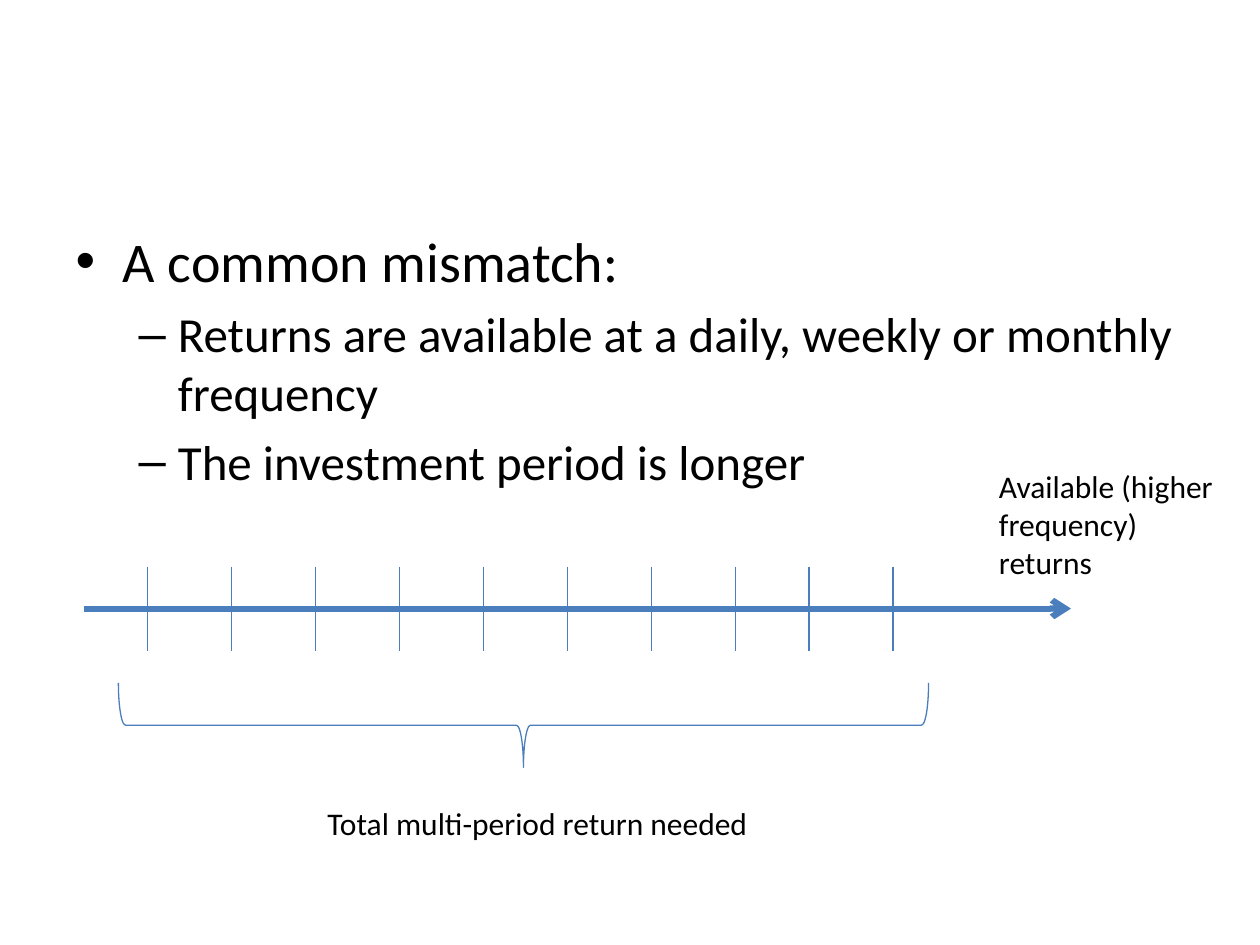
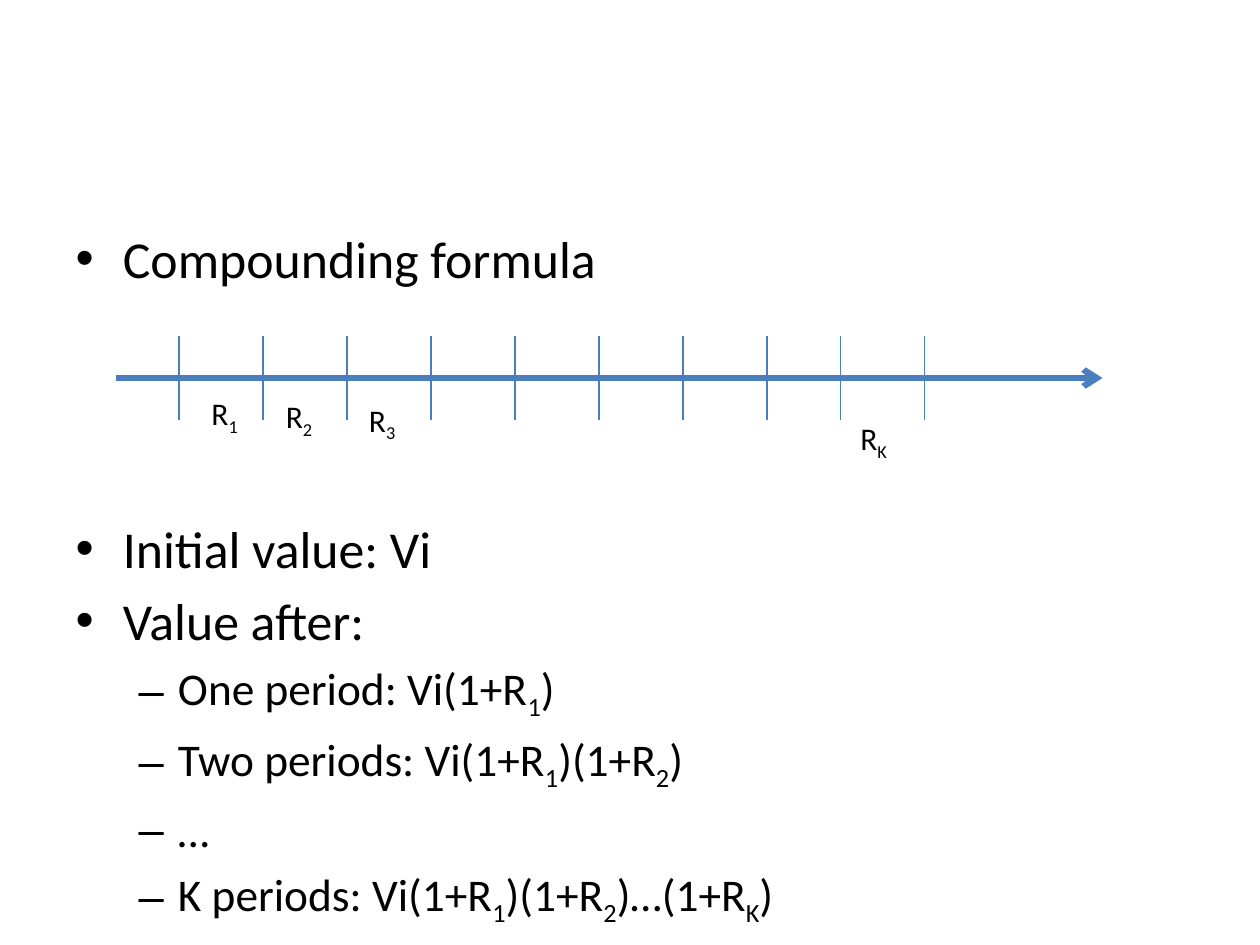
from dataclasses import dataclass

from lxml.etree import SubElement
from pptx import Presentation
from pptx.dml.color import RGBColor
from pptx.enum.shapes import MSO_CONNECTOR as CONN, MSO_SHAPE as SHAPE
from pptx.enum.text import MSO_AUTO_SIZE as AUTO
from pptx.oxml.ns import qn
from pptx.util import Inches, Pt


@dataclass(frozen=True)
class Theme:
    font: str = "Calibri"
    ink: RGBColor = RGBColor(0x00, 0x00, 0x00)
    accent: RGBColor = RGBColor(0x4B, 0x7E, 0xBC)
    body_sizes: tuple = (32, 28)        # by bullet level
    dense_sizes: tuple = (29.6, 25.9)
    label_size: float = 18
    axis_width: float = 3.5
    thin_width: float = 0.75


class Deck:
    def __init__(self, theme):
        self.theme = theme
        self.prs = Presentation()
        self.prs.slide_width, self.prs.slide_height = Inches(10), Inches(7.5)

    def new_slide(self):
        """Add a slide with a body and no title."""
        self.s = self.prs.slides.add_slide(self.prs.slide_layouts[1])
        title = self.s.shapes.title
        title.element.getparent().remove(title.element)

    def add_text(self, p, text, size):
        """Fill a paragraph; the character after each "_" is a subscript."""
        first, *rest = text.split("_")
        pieces = [(first, False)]
        for part in rest:
            pieces += [(part[0], True), (part[1:], False)]
        for piece, subscript in pieces:
            if not piece:
                continue
            r = p.add_run()
            r.text = piece
            r.font.name, r.font.size = self.theme.font, Pt(size)
            r.font.color.rgb = self.theme.ink
            if subscript:
                r._r.get_or_add_rPr().set("baseline", "-25000")

    def bullets(self, items, sizes):
        """Fill the body with (level, text, space before in points or None)."""
        body = self.s.placeholders[1]
        body.left, body.top = Inches(0.5), Inches(1.75)
        body.width, body.height = Inches(9), Inches(4.95)
        tf = body.text_frame
        tf.auto_size = AUTO.NONE
        for i, (level, text, gap) in enumerate(items):
            p = tf.add_paragraph() if i else tf.paragraphs[0]
            p.level = level
            if gap is not None:
                p.space_before = Pt(gap)
            self.add_text(p, text, sizes[level])

    def label(self, text, x, y, w, h=0.4):
        sp = self.s.shapes.add_textbox(Inches(x), Inches(y), Inches(w), Inches(h))
        tf = sp.text_frame
        tf.word_wrap = True
        tf.auto_size = AUTO.SHAPE_TO_FIT_TEXT
        self.add_text(tf.paragraphs[0], text, self.theme.label_size)

    def line(self, x1, y1, x2, y2, width, arrow=False):
        sp = self.s.shapes.add_connector(
            CONN.STRAIGHT, Inches(x1), Inches(y1), Inches(x2), Inches(y2))
        sp.line.color.rgb, sp.line.width = self.theme.accent, Pt(width)
        if arrow:
            SubElement(sp.line._get_or_add_ln(), qn("a:tailEnd"), type="arrow")
        SubElement(sp._element.spPr, qn("a:effectLst"))

    def timeline(self, x, y):
        """Draw an arrow starting at (x, y), crossed by period marks."""
        self.line(x, y, x + 7.83, y, self.theme.axis_width, arrow=True)
        # Eight even marks, then a pair that closes the last period
        marks = [0.5 + i * 2 / 3 for i in range(8)] + [5.75, 5.75 + 2 / 3]
        for dx in marks:
            self.line(x + dx, y - 1 / 3, x + dx, y + 1 / 3, self.theme.thin_width)

    def brace_below(self, x, y, w, h):
        """Draw a brace that opens upwards and fills the given box."""
        sp = self.s.shapes.add_shape(
            SHAPE.LEFT_BRACE, Inches(x + (w - h) / 2), Inches(y + (h - w) / 2),
            Inches(h), Inches(w))
        sp.rotation = 270
        sp.shadow.inherit = False
        sp.fill.background()
        sp.line.color.rgb = self.theme.accent
        sp.line.width = Pt(self.theme.thin_width)


theme = Theme()
deck = Deck(theme)

# Slide 1: return frequency against investment period
deck.new_slide()
deck.bullets([
    (0, "A common mismatch: ", None),
    (1, "Returns are available at a daily, weekly or monthly frequency", None),
    (1, "The investment period is longer", None),
], theme.body_sizes)
deck.timeline(0.67, 4.83)
deck.label("Available (higher frequency) returns", 7.83, 3.66, 1.92, 1.01)
deck.brace_below(0.94, 5.42, 6.43, 0.67)
deck.label("Total multi-period return needed", 2.5, 6.33, 4.08)

# Slide 2: compounding; the wide gap leaves room for the timeline
deck.new_slide()
deck.bullets([
    (0, "Compounding formula", None),
    (0, "Initial value: Vi", 130),
    (0, "Value after:", None),
    (1, "One period: Vi(1+R_1)", None),
    (1, "Two periods: Vi(1+R_1)(1+R_2)", None),
    (1, "…", None),
    (1, "K periods: Vi(1+R_1)(1+R_2)…(1+R_K)", None),
], theme.dense_sizes)
deck.timeline(0.92, 3)
for period, x, y in (("1", 1.58, 3.08), ("2", 2.17, 3.1),
                     ("3", 2.83, 3.13), ("K", 6.73, 3.28)):
    deck.label(f"R_{period}", x, y, 0.58)

deck.prs.save("out.pptx")
